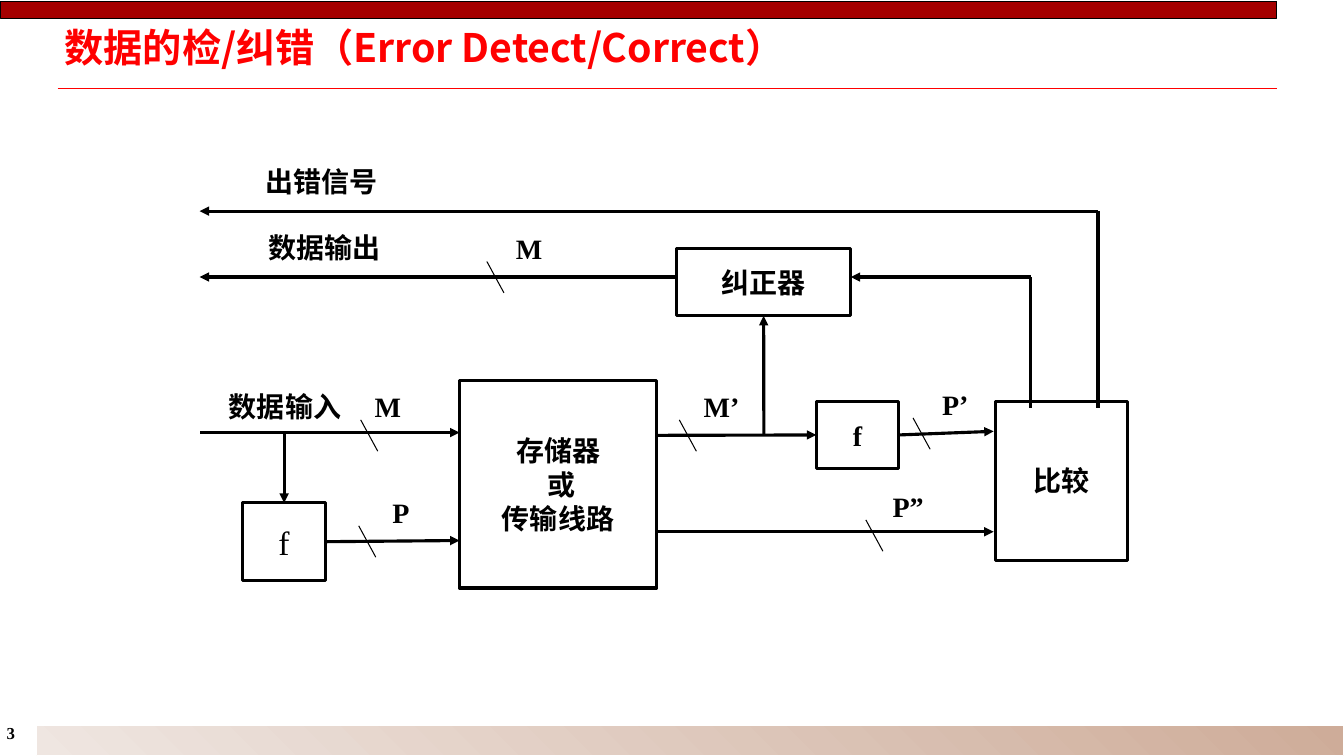
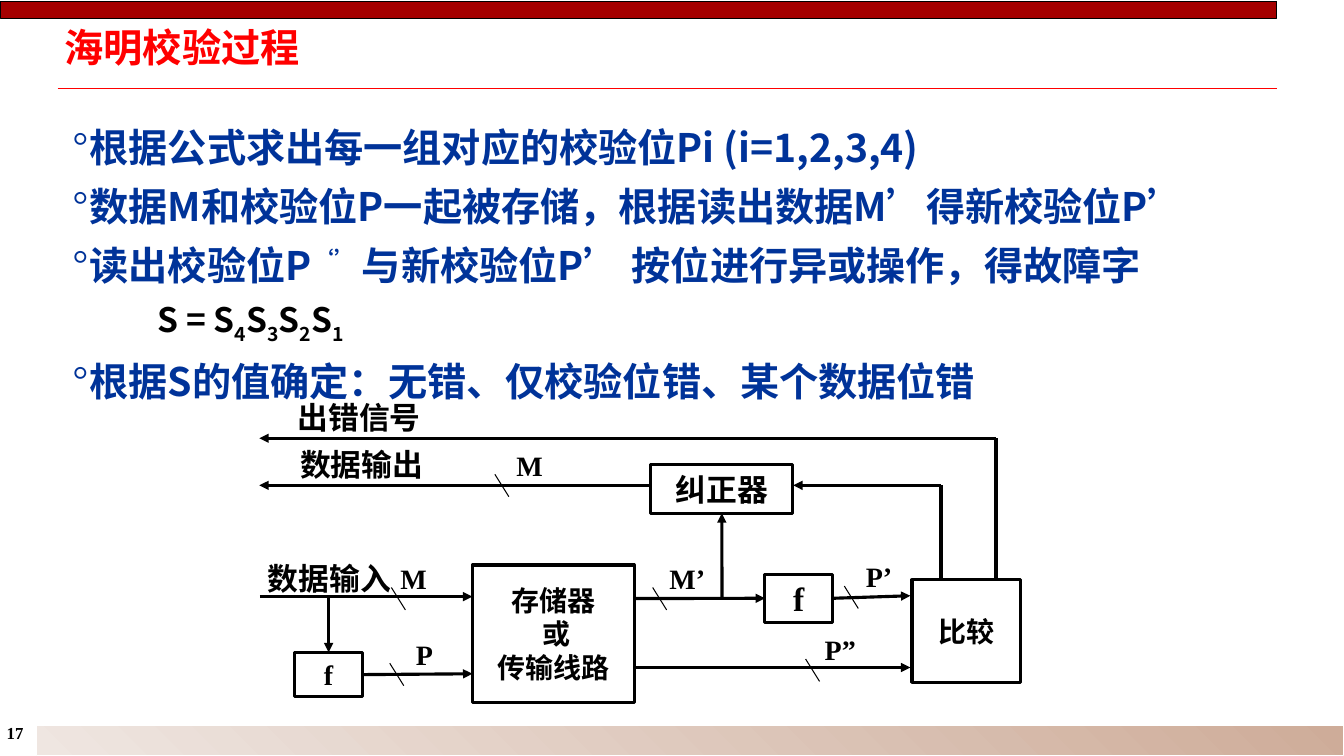
from dataclasses import dataclass
from typing import NamedTuple, Optional

from lxml.etree import SubElement
from pptx import Presentation
from pptx.dml.color import RGBColor
from pptx.enum.shapes import MSO_CONNECTOR, MSO_SHAPE
from pptx.enum.text import MSO_ANCHOR, PP_ALIGN
from pptx.oxml.ns import qn
from pptx.util import Cm, Pt

BLACK = RGBColor(0x00, 0x00, 0x00)
WHITE = RGBColor(0xFF, 0xFF, 0xFF)
RED = RGBColor(0xFF, 0x00, 0x00)
DARK_RED = RGBColor(0xA4, 0x00, 0x00)
BLUE = RGBColor(0x00, 0x33, 0x99)
TAN = RGBColor(0xCE, 0xAC, 0x99)
PALE_TAN = RGBColor(0xEF, 0xE6, 0xE1)
SANS = "Noto Sans CJK SC"
SERIF = "Times New Roman"
PAGE_WIDTH, PAGE_HEIGHT = 33.87, 19.05
TOP, LEFT, BOTTOM, RIGHT = range(4)


class Block(NamedTuple):
    name: str
    lines: tuple
    left: float
    top: float
    width: float
    height: float
    shrinks: bool = False


class Joint(NamedTuple):
    block: str
    side: int


class Wire(NamedTuple):
    x1: float
    y1: float
    x2: float
    y2: float
    arrow: bool = True
    begin: Optional[Joint] = None
    end: Optional[Joint] = None


class Signal(NamedTuple):
    text: str
    left: float
    top: float
    slash_shift: float = -0.28


class Caption(NamedTuple):
    text: str
    left: float
    top: float
    width: float
    height: float


class Span(NamedTuple):
    text: str
    baseline: int = 0


@dataclass(frozen=True)
class Placement:
    scale_x: float
    scale_y: float
    left: float
    top: float
    trim: float
    caption_size: int
    encoder_size: int
    encoder_bold: bool
    checker_size: int

    def x(self, value: float) -> float:
        return self.left + self.scale_x * value

    def y(self, value: float) -> float:
        return self.top + self.scale_y * value

    def area(self, left: float, top: float, width: float, height: float) -> tuple:
        return self.x(left), self.y(top), self.scale_x * width, self.scale_y * height


BLOCKS = (
    Block("memory", ("存储器", " 或", "传输线路"), 11.58, 9.59, 4.97, 5.23, True),
    Block("encoder", ("f",), 6.12, 12.67, 2.08, 1.96, True),
    Block("checker", ("f",), 20.57, 10.11, 2.08, 1.7),
    Block("compare", ("比较",), 25.09, 10.11, 3.33, 4.01, True),
    Block("corrector", ("纠正器",), 17.06, 6.26, 4.37, 1.7),
)
WIRES = (
    Wire(5.05, 10.9, 11.58, 10.9),
    Wire(7.16, 10.9, 7.16, 12.67, end=Joint("encoder", TOP)),
    Wire(8.2, 13.62, 11.58, 13.62, begin=Joint("encoder", RIGHT)),
    Wire(16.54, 10.97, 20.45, 10.97, end=Joint("checker", LEFT)),
    Wire(16.54, 13.4, 25.04, 13.4),
    Wire(22.65, 10.96, 25.04, 10.87, begin=Joint("checker", RIGHT)),
    Wire(19.25, 10.97, 19.25, 8, end=Joint("corrector", BOTTOM)),
    Wire(25.98, 10.27, 25.98, 6.98, arrow=False),
    Wire(25.98, 6.98, 21.44, 6.98),
    Wire(17.07, 6.98, 5.03, 6.98),
    Wire(27.67, 5.32, 5.03, 5.32),
    Wire(27.67, 5.32, 27.67, 10.27, arrow=False),
)
SIGNALS = (
    Signal("M", 8.99, 9.6, 0.1),
    Signal("P", 9.32, 12.27),
    Signal("M’", 17.4, 9.6),
    Signal("P”", 22.1, 12.12),
    Signal("P’", 23.29, 9.55),
    Signal("M", 12.55, 5.61),
)
CAPTIONS = (
    Caption("出错信号", 5.84, 3.73, 4.52, 1.68),
    Caption("数据输出", 5.92, 5.4, 4.52, 1.68),
    Caption("数据输入", 5.1, 9.6, 4.17, 1.3),
)
FULL = Placement(1, 1, 0, 0, 0, 20, 24, False, 20)
COMPACT = Placement(0.82, 0.715, 2.41, 7.24, 0.14, 22, 20, True, 24)

FORMULA = (Span("S = S"), Span("4", -25), Span("S"), Span("3", -25),
           Span("S"), Span("2", -25), Span("S"), Span("1", -25))
STEPS = (
    (Span("根据公式求出每一组对应的校验位Pi (i=1,2,3,4)"),),
    (Span("数据M和校验位P一起被存储，根据读出数据M’得新校验位P’"),),
    (Span("读出校验位P"), Span("‘’ ", 30),
     Span("与新校验位P’ 按位进行异或操作，得故障字")),
    FORMULA,
    (Span("根据S的值确定：无错、仅校验位错、某个数据位错"),),
)


def add_text(paragraph, text: str, *, size: int, font: str = SERIF,
             color: RGBColor = BLACK, bold: bool = True, baseline: int = 0) -> None:
    span = paragraph.add_run()
    span.text = text
    span.font.size = Pt(size)
    span.font.bold = bold
    span.font.color.rgb = color
    span.font.name = font
    properties = span._r.get_or_add_rPr()
    SubElement(properties, qn("a:ea")).set("typeface", SANS)
    if baseline:
        properties.set("baseline", str(baseline * 1000))


def set_frame(box, *, inset_x: float = 0, inset_y: float = 0,
              anchor=MSO_ANCHOR.MIDDLE, wrap: bool = True):
    frame = box.text_frame
    frame.word_wrap = wrap
    frame.vertical_anchor = anchor
    frame.margin_left = frame.margin_right = Cm(inset_x)
    frame.margin_top = frame.margin_bottom = Cm(inset_y)
    return frame


def add_box(page, area: tuple):
    return page.shapes.add_textbox(*map(Cm, area))


def add_rectangle(page, area: tuple, line: RGBColor, width: float):
    box = page.shapes.add_shape(MSO_SHAPE.RECTANGLE, *map(Cm, area))
    box.shadow.inherit = False
    box.fill.background()
    box.line.color.rgb = line
    box.line.width = Pt(width)
    return box


def add_line(page, ends: tuple, *, color: RGBColor = BLACK, width: float = 2.25,
             arrow: bool = False):
    line = page.shapes.add_connector(MSO_CONNECTOR.STRAIGHT, *map(Cm, ends))
    line.line.color.rgb = color
    line.line.width = Pt(width)
    properties = line.element.spPr
    if arrow:
        SubElement(properties.find(qn("a:ln")), qn("a:tailEnd")).set("type", "triangle")
    SubElement(properties, qn("a:effectLst"))
    return line


def add_label(page, text: str, area: tuple, size: int) -> None:
    paragraph = set_frame(add_box(page, area)).paragraphs[0]
    paragraph.alignment = PP_ALIGN.CENTER
    add_text(paragraph, text, size=size)


def add_page(deck, title: str, number: int):
    page = deck.slides.add_slide(deck.slide_layouts[6])
    add_line(page, (1.45, 2.23, 32.18, 2.23), color=RED, width=0.75)
    footer = add_rectangle(page, (0.92, 18.29, PAGE_WIDTH - 0.92, PAGE_HEIGHT - 18.29),
                           WHITE, 0.75)
    footer.fill.gradient()
    footer.fill.gradient_angle = 225
    for stop, color in zip(footer.fill.gradient_stops, (TAN, PALE_TAN)):
        stop.color.rgb = color
    frame = set_frame(add_box(page, (0, 18.08, 0.94, 0.76)), inset_x=0.17,
                      inset_y=0.13, anchor=MSO_ANCHOR.TOP, wrap=False)
    add_text(frame.paragraphs[0], str(number), size=12)
    band = add_rectangle(page, (0.01, 0.03, 32.17, 0.43), BLACK, 0.75)
    band.fill.solid()
    band.fill.fore_color.rgb = DARK_RED
    frame = set_frame(add_box(page, (1.45, 0.67, 30.53, 1.19)), inset_x=0.18,
                      inset_y=0.08, anchor=MSO_ANCHOR.TOP)
    frame.paragraphs[0].line_spacing = 0.87
    add_text(frame.paragraphs[0], title, size=28, font=SANS, color=RED)
    return page


def add_block(page, block: Block, place: Placement):
    left, top, width, height = place.area(*block[2:6])
    trim = place.trim if block.shrinks else 0
    box = add_rectangle(page, (left, top + trim, width, height - 2 * trim), BLACK, 2.25)
    sizes = {"encoder": place.encoder_size, "checker": place.checker_size,
             "corrector": place.caption_size}
    frame = set_frame(box)
    for index, text in enumerate(block.lines):
        paragraph = frame.add_paragraph() if index else frame.paragraphs[0]
        paragraph.alignment = PP_ALIGN.CENTER
        add_text(paragraph, text, size=sizes.get(block.name, 20),
                 bold=block.name != "encoder" or place.encoder_bold)
    return box


def add_diagram(page, place: Placement) -> None:
    boxes = {block.name: add_block(page, block, place) for block in BLOCKS}
    for wire in WIRES:
        ends = (place.x(wire.x1), place.y(wire.y1), place.x(wire.x2), place.y(wire.y2))
        line = add_line(page, ends, arrow=wire.arrow)
        if wire.begin:
            line.begin_connect(boxes[wire.begin.block], wire.begin.side)
        if wire.end:
            line.end_connect(boxes[wire.end.block], wire.end.side)
    for signal in SIGNALS:
        add_label(page, signal.text, place.area(signal.left, signal.top, 1.57, 1.3), 20)
        left, top, width, height = place.area(
            signal.left + signal.slash_shift, signal.top + 0.98, 0.43, 0.79)
        add_line(page, (left, top, left + width, top + height), width=0.75)
    for caption in CAPTIONS:
        add_label(page, caption.text, place.area(*caption[1:]), place.caption_size)


def add_steps(page) -> None:
    frame = set_frame(add_box(page, (1.65, 2.73, 31.5, 7.26)), inset_x=0.18,
                      inset_y=0.08, anchor=MSO_ANCHOR.TOP)
    for index, spans in enumerate(STEPS):
        paragraph = frame.add_paragraph() if index else frame.paragraphs[0]
        paragraph.line_spacing = 1.25
        properties = paragraph._p.get_or_add_pPr()
        formula = spans is FORMULA
        properties.set("marL", str(Cm(2.15 if formula else 0.43)))
        properties.set("indent", str(0 if formula else Cm(-0.43)))
        if not formula:
            SubElement(properties, qn("a:buFont")).set("typeface", SERIF)
            SubElement(properties, qn("a:buChar")).set("char", "°")
        for span in spans:
            add_text(paragraph, span.text, size=24 if formula else 28, font=SANS,
                     color=BLACK if formula else BLUE, baseline=span.baseline)


def main() -> None:
    deck = Presentation()
    deck.slide_width, deck.slide_height = Cm(PAGE_WIDTH), Cm(PAGE_HEIGHT)
    add_diagram(add_page(deck, "数据的检/纠错（Error Detect/Correct）", 3), FULL)
    page = add_page(deck, "海明校验过程", 17)
    add_diagram(page, COMPACT)
    add_steps(page)
    deck.save("out.pptx")


if __name__ == "__main__":
    main()
